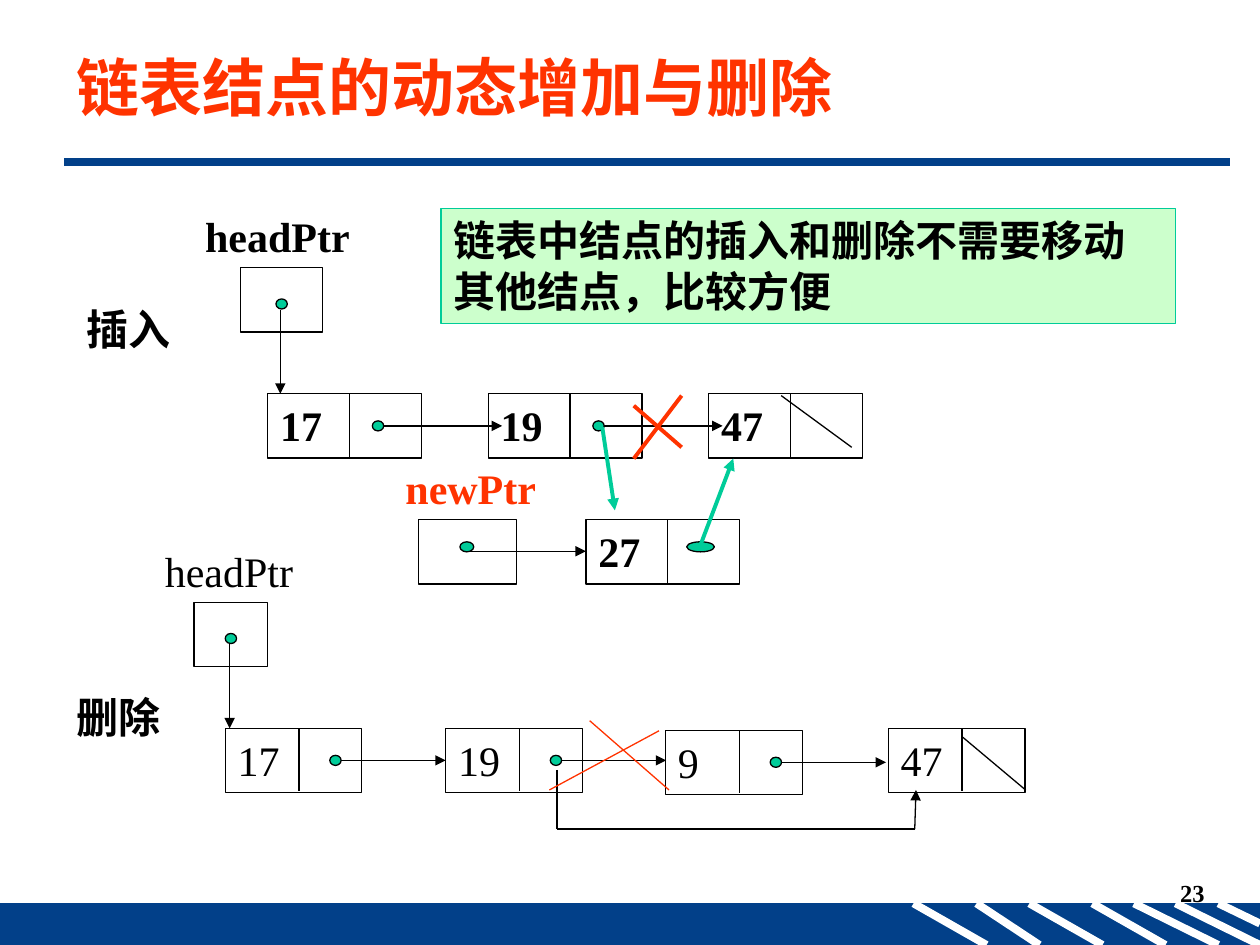
from dataclasses import dataclass
from typing import Optional

import pptx
import pptx.dml.color
import pptx.enum.shapes
import pptx.enum.text
import pptx.oxml
import pptx.oxml.ns
import pptx.util

SHAPES = pptx.enum.shapes.MSO_SHAPE
ALIGN = pptx.enum.text.PP_ALIGN
ANCHOR = pptx.enum.text.MSO_ANCHOR

presentation = pptx.Presentation()
presentation.slide_width = pptx.util.Inches(10)
presentation.slide_height = pptx.util.Inches(7.5)
slide = presentation.slides.add_slide(presentation.slide_layouts[6])

# All lengths below are columns and rows of a 40 by 30 grid.
COLUMN = presentation.slide_width / 40
ROW = presentation.slide_height / 30

BLACK, WHITE, NAVY = "000000", "FFFFFF", "024089"
RED, GREEN, PALE_GREEN = "FF3300", "00CC99", "CCFFCC"
LATIN_FONT, CHINESE_FONT = "Times New Roman", "Noto Sans CJK SC"
BOX_HEIGHT = 2.04


@dataclass(frozen=True)
class ListStyle:
    node_width: float
    divider: float
    arrow_end: float
    head_width: float
    bold: bool


@dataclass(frozen=True)
class Node:
    value: str
    left: float
    top: float
    style: ListStyle
    linked: bool = False


INSERTION = ListStyle(4.88, 2.6, 7.44, 2.6, True)
DELETION = ListStyle(4.34, 2.34, 7.0, 2.34, False)


def color(value: str) -> pptx.dml.color.RGBColor:
    return pptx.dml.color.RGBColor.from_string(value)


def place(left: float, top: float, width: float, height: float) -> tuple[int, ...]:
    return (round(left * COLUMN), round(top * ROW),
            round(width * COLUMN), round(height * ROW))


def write(shape, text: str, *, size: float = 24, bold: bool = True,
          ink: str = BLACK, font: str = LATIN_FONT, align=ALIGN.LEFT,
          anchor=ANCHOR.TOP, line_height: Optional[float] = 1.2) -> None:
    """Fill a shape with one paragraph; line_height is a multiple of the size."""
    frame = shape.text_frame
    frame.word_wrap = True
    frame.vertical_anchor = anchor
    paragraph = frame.paragraphs[0]
    paragraph.alignment = align
    if line_height:
        paragraph.line_spacing = pptx.util.Pt(size * line_height)
    run = paragraph.add_run()
    run.text = text
    run.font.size = pptx.util.Pt(size)
    run.font.bold = bold
    run.font.name = font
    run.font.color.rgb = color(ink)
    east_asian = pptx.oxml.parse_xml(
        f'<a:ea {pptx.oxml.ns.nsdecls("a")} typeface="{CHINESE_FONT}"/>')
    run.font._element.find(pptx.oxml.ns.qn("a:latin")).addnext(east_asian)


def label(text: str, left: float, top: float, width: float,
          height: float = 2, **text_format) -> None:
    write(slide.shapes.add_textbox(*place(left, top, width, height)),
          text, **text_format)


def box(left: float, top: float, width: float, height: float = BOX_HEIGHT, *,
        kind=SHAPES.RECTANGLE, fill: Optional[str] = None, outline: str = BLACK):
    shape = slide.shapes.add_shape(kind, *place(left, top, width, height))
    shape.shadow.inherit = False
    if fill:
        shape.fill.solid()
        shape.fill.fore_color.rgb = color(fill)
    else:
        shape.fill.background()
    shape.line.color.rgb = color(outline)
    shape.line.width = pptx.util.Pt(0.75)
    return shape


def dot(center_x: float, center_y: float, width: float = 0.36) -> None:
    height = 0.32
    box(center_x - width / 2, center_y - height / 2, width, height,
        kind=SHAPES.OVAL, fill=GREEN)


def line(start: tuple[float, float], end: tuple[float, float], *,
         ink: str = BLACK, weight: float = 0.75, arrow: bool = False) -> None:
    connector = slide.shapes.add_connector(
        pptx.enum.shapes.MSO_CONNECTOR.STRAIGHT, *place(*start, *end))
    connector.line.color.rgb = color(ink)
    connector.line.width = pptx.util.Pt(weight)
    namespace = pptx.oxml.ns.nsdecls("a")
    if arrow:
        connector.line._get_or_add_ln().append(
            pptx.oxml.parse_xml(f'<a:tailEnd {namespace} type="triangle"/>'))
    connector._element.spPr.append(
        pptx.oxml.parse_xml(f"<a:effectLst {namespace}/>"))


def draw_node(node: Node) -> None:
    style, left, top = node.style, node.left, node.top
    write(box(left, top, style.node_width), node.value, bold=style.bold)
    divider = left + style.divider
    line((divider, top), (divider, top + 2))
    if node.linked:
        middle = top + 1.02
        line((left + 3.68, middle), (left + style.arrow_end, middle), arrow=True)
        dot(left + 3.5, middle)


def draw_head(left: float, top: float, label_left: float, style: ListStyle) -> None:
    """Draw the head pointer and its arrow down to the first node."""
    center = left + style.head_width / 2
    box(left, top, style.head_width)
    label("headPtr", label_left, top - 2, 5.96, bold=style.bold)
    dot(center, top + 1.15)
    line((center - 0.04, top + 1.34), (center - 0.04, top + 4), arrow=True)


def draw_frame() -> None:
    """Draw the footer band, its stripes, the title rule and the page number."""
    footer_top = 28.68
    box(0, footer_top, 40, 30 - footer_top, fill=NAVY, outline=NAVY)
    stripes = ((29, 31.32, 30), (31, 33, 30), (32.68, 35, 30), (34.68, 37, 30),
               (36, 38.68, 30), (37.32, 40, 30), (38.68, 40, 29.32))
    for start, end, bottom in stripes:
        line((start, footer_top), (end, bottom), ink=WHITE, weight=4.5)
    line((2.04, 5.14), (39.04, 5.14), ink=NAVY, weight=4.5)
    label("23", 30.32, 27.68, 8.32, size=14, align=ALIGN.RIGHT)
    label("链表结点的动态增加与删除", 2.04, 1.16, 37.16, 3.16, size=36, ink=RED,
          font=CHINESE_FONT, anchor=ANCHOR.MIDDLE, line_height=None)


def draw_insertion() -> None:
    label("插入", 2.36, 9.44, 4.72)
    for node in (Node("17", 8.5, 12.5, INSERTION, linked=True),
                 Node("19", 15.5, 12.5, INSERTION, linked=True),
                 Node("47", 22.5, 12.5, INSERTION),
                 Node("27", 18.6, 16.5, INSERTION)):
        draw_node(node)
    draw_head(7.64, 8.5, 6.12, INSERTION)
    line((24.8, 12.56), (27.04, 14.2))

    line((21.64, 12.56), (20.12, 14.56), ink=RED, weight=2.25)
    line((20.12, 12.88), (21.64, 14.2), ink=RED, weight=2.25)
    line((19.12, 13.56), (19.52, 16.2), ink=GREEN, weight=2.25, arrow=True)
    dot(22.24, 17.36, width=0.88)
    line((22.2, 17.4), (23.28, 14.56), ink=GREEN, weight=2.25, arrow=True)

    dot(14.82, 17.36, width=0.44)
    box(13.28, 16.5, 3.12)
    label("newPtr", 12.48, 14.5, 6.12, ink=RED)
    line((14.84, 17.5), (18.6, 17.5), arrow=True)


def draw_deletion() -> None:
    label("删除", 2.04, 21.76, 4.72)
    for node in (Node("17", 7.15, 23.12, DELETION, linked=True),
                 Node("19", 14.15, 23.12, DELETION, linked=True),
                 Node("9", 21.13, 23.18, DELETION, linked=True),
                 Node("47", 28.2, 23.12, DELETION)):
        draw_node(node)
    draw_head(6.16, 19.12, 4.84, DELETION)
    line((30.56, 23.4), (32.56, 25.08))

    line((17.68, 24.44), (17.68, 26.32))
    line((17.68, 26.32), (29.04, 26.32))
    line((29.04, 26.32), (29.08, 25.08), arrow=True)
    line((20.92, 23.2), (17.44, 25.08), ink=RED)
    line((18.72, 22.88), (21.24, 25.08), ink=RED)


def place(left: float, top: float, width: float, height: float) -> tuple[int, ...]:
    """Turn two horizontal and vertical grid pairs into slide lengths."""
    return (round(left * COLUMN), round(top * ROW),
            round(width * COLUMN), round(height * ROW))


draw_frame()
draw_insertion()
draw_deletion()
write(box(14, 6.62, 23.32, 3.66, fill=PALE_GREEN, outline=GREEN),
      "链表中结点的插入和删除不需要移动其他结点，比较方便")
presentation.save("out.pptx")
